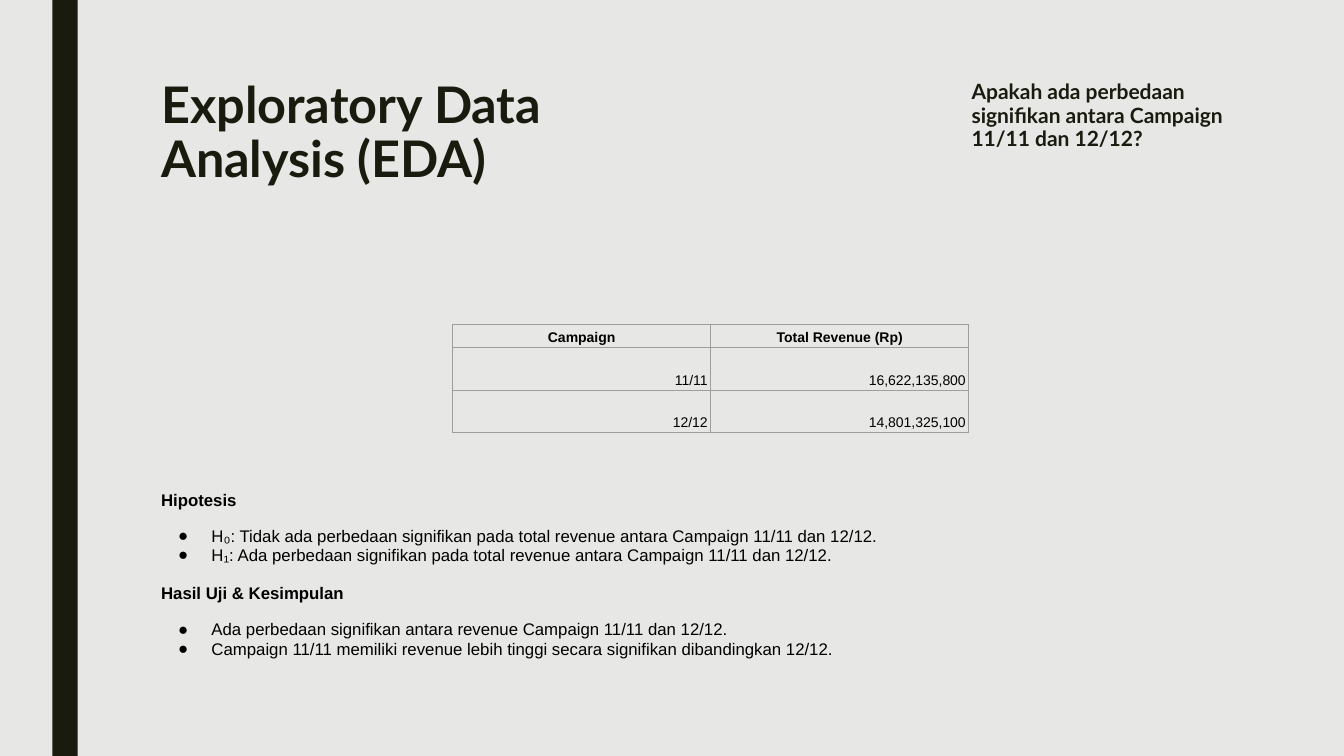
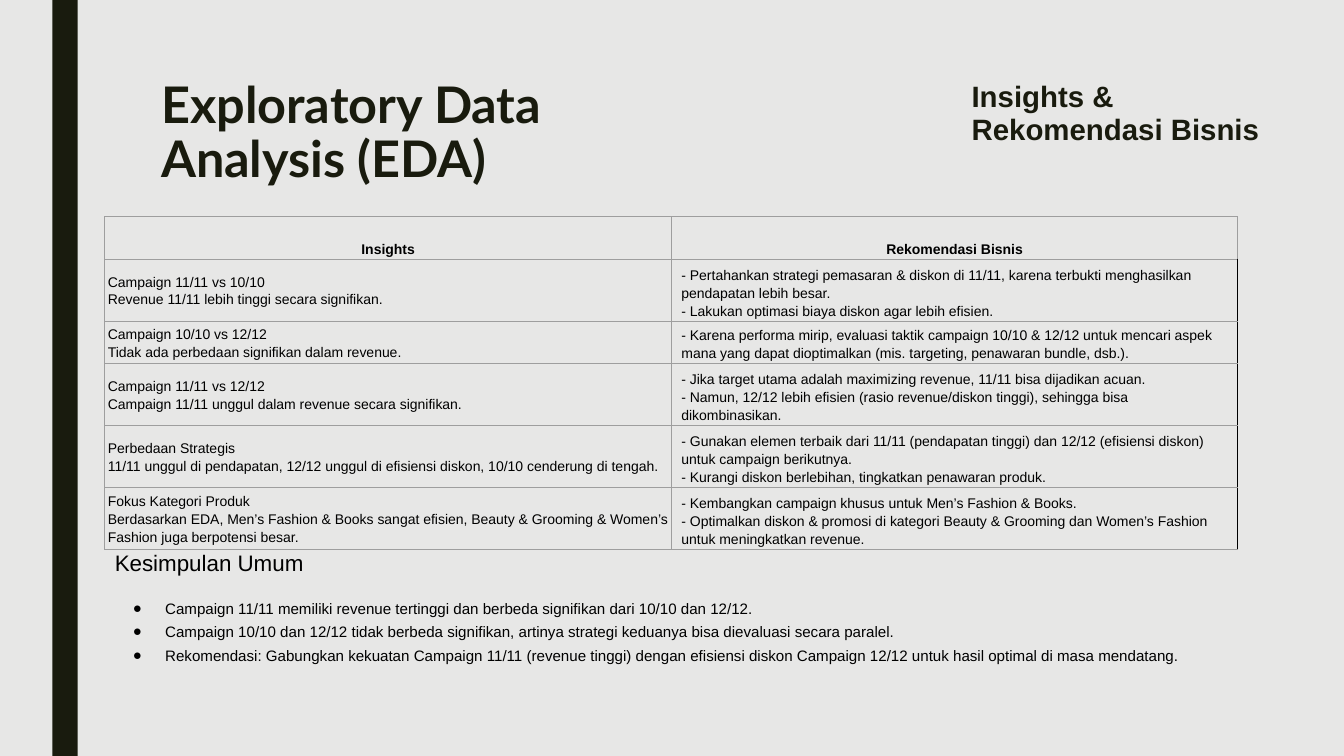
from dataclasses import dataclass

from lxml.etree import SubElement
from pptx import Presentation
from pptx.dml.color import RGBColor
from pptx.enum.shapes import MSO_SHAPE
from pptx.enum.text import MSO_ANCHOR, PP_ALIGN
from pptx.oxml.ns import qn
from pptx.util import Inches, Pt

COLUMNS, ROWS = 133.33, 75
PAPER, INK, BLACK, GREY = "E7E7E6", "191B0E", "000000", "9E9E9E"
HEADING_FONT, BODY_FONT = "Lato", "Arial"
TITLE = "Exploratory Data Analysis (EDA)"


@dataclass
class Region:
    """A box measured in grid columns and rows."""
    left: float
    top: float
    width: float
    height: float

    def lengths(self):
        """Return the box as slide lengths."""
        return [grid(n) for n in (self.left, self.top, self.width, self.height)]


@dataclass
class Line:
    """One paragraph and its style."""
    text: str
    size: float = 12
    bold: bool = False
    font: str = BODY_FONT
    color: str = BLACK
    spacing: float = 0.95
    before: float = 0
    indent: float = 0
    align: PP_ALIGN = PP_ALIGN.LEFT


BAND = Region(5.2, 0, 2.5, ROWS)
TITLE_BOX = Region(15, 7.5, 51, 14.5)
TOPIC_BOX = Region(95.4, 7.5, 31.9, 16)


def grid(count):
    """Turn a count of grid steps, ten to the inch, into a length."""
    return Inches(count / 10)


def color(value):
    """Turn a hex string into a colour."""
    return RGBColor.from_string(value)


def add_bullet(para, indent):
    """Give a paragraph a hanging round bullet."""
    properties = para._p.get_or_add_pPr()
    properties.set("marL", str(grid(5)))
    properties.set("indent", str(-grid(indent)))
    tint = SubElement(properties, qn("a:buClr"))
    SubElement(tint, qn("a:srgbClr"), val=BLACK)
    SubElement(properties, qn("a:buFont"), typeface=BODY_FONT)
    SubElement(properties, qn("a:buChar"), char="●")


def write_lines(frame, lines):
    """Write styled paragraphs into a text frame."""
    frame.word_wrap = True
    for index, line in enumerate(lines):
        para = frame.add_paragraph() if index else frame.paragraphs[0]
        para.alignment = line.align
        para.line_spacing = line.spacing
        para.space_before = Pt(line.before)
        if line.indent:
            add_bullet(para, line.indent)
        span = para.add_run()
        span.text = line.text
        span.font.size = Pt(line.size)
        span.font.bold = line.bold
        span.font.name = line.font
        span.font.color.rgb = color(line.color)


def add_text(page, region, lines):
    """Place a text box in a region."""
    box = page.shapes.add_textbox(*region.lengths())
    write_lines(box.text_frame, lines)


def add_frame(deck, topic):
    """Add a page with the band, the title and its topic."""
    page = deck.slides.add_slide(deck.slide_layouts[6])
    page.background.fill.solid()
    page.background.fill.fore_color.rgb = color(PAPER)
    band = page.shapes.add_shape(MSO_SHAPE.RECTANGLE, *BAND.lengths())
    band.shadow.inherit = False
    band.fill.solid()
    band.fill.fore_color.rgb = color(INK)
    band.line.fill.background()
    add_text(page, TITLE_BOX, [Line(TITLE, 36, True, HEADING_FONT, INK, 0.89)])
    add_text(page, TOPIC_BOX, [topic])
    return page


def style_cell(cell, lines, anchor, inset, right_edge):
    """Fill a cell with text, insets and thin borders."""
    cell.vertical_anchor = anchor
    cell.margin_left = cell.margin_right = grid(inset)
    cell.margin_top = cell.margin_bottom = grid(0.2)
    write_lines(cell.text_frame, lines)
    properties = cell._tc.get_or_add_tcPr()
    for side in "LRTB":
        edge = SubElement(properties, qn(f"a:ln{side}"), w=str(Pt(0.75)))
        fill = SubElement(edge, qn("a:solidFill"))
        SubElement(fill, qn("a:srgbClr"), val=right_edge if side == "R" else GREY)
    cell.fill.background()


def add_grid(page, region, heights, header, rows, style):
    """Place a table whose body columns follow the given styles."""
    shape = page.shapes.add_table(len(heights), len(header), *region.lengths())
    table = shape.table
    table.first_row = table.horz_banding = False
    for column in table.columns:
        column.width = grid(region.width / len(header))
    for row, height in zip(table.rows, heights):
        row.height = grid(height)
    for column, text in enumerate(header):
        title = Line(text, 10, True, spacing=1.15, align=PP_ALIGN.CENTER)
        style_cell(table.cell(0, column), [title], MSO_ANCHOR.BOTTOM, 0.3, GREY)
    for index, row in enumerate(rows, 1):
        for column, texts in enumerate(row):
            align, anchor, inset, right_edge = style[column]
            lines = [Line(text, 10, spacing=1.15, align=align) for text in texts]
            style_cell(table.cell(index, column), lines, anchor, inset, right_edge)


def add_section(heading, points, before=0):
    """Return a bold heading with its bulleted points."""
    bullets = [Line(text, before=0 if index else 12, indent=3.3)
               for index, text in enumerate(points)]
    return [Line(heading, bold=True, before=before), *bullets]


def build_hypothesis(deck):
    """Build the page that tests two campaigns."""
    question = "Apakah ada perbedaan signifikan antara Campaign 11/11 dan 12/12?"
    page = add_frame(deck, Line(question, 15, True, HEADING_FONT, INK, 0.94))
    hypothesis = add_section("Hipotesis", [
        "H₀: Tidak ada perbedaan signifikan pada total revenue antara Campaign 11/11 dan 12/12.",
        "H₁: Ada perbedaan signifikan pada total revenue antara Campaign 11/11 dan 12/12.",
    ])
    result = add_section("Hasil Uji & Kesimpulan", [
        "Ada perbedaan signifikan antara revenue Campaign 11/11 dan 12/12.",
        "Campaign 11/11 memiliki revenue lebih tinggi secara signifikan dibandingkan 12/12.",
    ], before=14)
    add_text(page, Region(15, 48.2, 88.6, 22), hypothesis + result)
    heights = [2.3, 4.2, 4.2]
    rows = [[["11/11"], ["16,622,135,800"]], [["12/12"], ["14,801,325,100"]]]
    figures = (PP_ALIGN.RIGHT, MSO_ANCHOR.BOTTOM, 0.3, GREY)
    add_grid(page, Region(44.9, 32.2, 51.2, sum(heights)), heights,
             ["Campaign", "Total Revenue (Rp)"], rows, [figures, figures])


def build_insights(deck):
    """Build the page of insights and recommendations."""
    page = add_frame(deck, Line("Insights & Rekomendasi Bisnis", 21, True, color=INK, spacing=0.94))
    points = [
        "Campaign 11/11 memiliki revenue tertinggi dan berbeda signifikan dari 10/10 dan 12/12.",
        "Campaign 10/10 dan 12/12 tidak berbeda signifikan, artinya strategi keduanya bisa dievaluasi secara paralel.",
        "Rekomendasi: Gabungkan kekuatan Campaign 11/11 (revenue tinggi) dengan efisiensi diskon Campaign 12/12 "
        "untuk hasil optimal di masa mendatang.",
    ]
    bullets = [Line(text, 10.8, spacing=1.3, before=0 if index else 12, indent=3.2)
               for index, text in enumerate(points)]
    add_text(page, Region(10.4, 54.2, 112.5, 16), [Line("Kesimpulan Umum", 16), *bullets])
    rows = [
        [["Campaign 11/11 vs 10/10", "Revenue 11/11 lebih tinggi secara signifikan."],
         ["- Pertahankan strategi pemasaran & diskon di 11/11, karena terbukti menghasilkan pendapatan lebih besar.",
          "- Lakukan optimasi biaya diskon agar lebih efisien."]],
        [["Campaign 10/10 vs 12/12", "Tidak ada perbedaan signifikan dalam revenue."],
         ["- Karena performa mirip, evaluasi taktik campaign 10/10 & 12/12 untuk mencari aspek mana "
          "yang dapat dioptimalkan (mis. targeting, penawaran bundle, dsb.)."]],
        [["Campaign 11/11 vs 12/12", "Campaign 11/11 unggul dalam revenue secara signifikan."],
         ["- Jika target utama adalah maximizing revenue, 11/11 bisa dijadikan acuan.",
          "- Namun, 12/12 lebih efisien (rasio revenue/diskon tinggi), sehingga bisa dikombinasikan."]],
        [["Perbedaan Strategis",
          "11/11 unggul di pendapatan, 12/12 unggul di efisiensi diskon, 10/10 cenderung di tengah."],
         ["- Gunakan elemen terbaik dari 11/11 (pendapatan tinggi) dan 12/12 (efisiensi diskon) "
          "untuk campaign berikutnya.",
          "- Kurangi diskon berlebihan, tingkatkan penawaran produk."]],
        [["Fokus Kategori Produk",
          "Berdasarkan EDA, Men’s Fashion & Books sangat efisien, Beauty & Grooming & Women’s Fashion "
          "juga berpotensi besar."],
         ["- Kembangkan campaign khusus untuk Men’s Fashion & Books.",
          "- Optimalkan diskon & promosi di kategori Beauty & Grooming dan Women’s Fashion "
          "untuk meningkatkan revenue."]],
    ]
    heights = [4.2, 5.8, 4.2, 5.8, 5.8, 5.8]
    style = [(PP_ALIGN.LEFT, MSO_ANCHOR.MIDDLE, 0.3, GREY),
             (PP_ALIGN.LEFT, MSO_ANCHOR.BOTTOM, 1, BLACK)]
    add_grid(page, Region(10.4, 21.5, 112.4, sum(heights)), heights,
             ["Insights", "Rekomendasi Bisnis"], rows, style)


def main():
    """Build and save the deck."""
    deck = Presentation()
    deck.slide_width, deck.slide_height = grid(COLUMNS), grid(ROWS)
    build_hypothesis(deck)
    build_insights(deck)
    deck.save("out.pptx")


if __name__ == "__main__":
    main()
